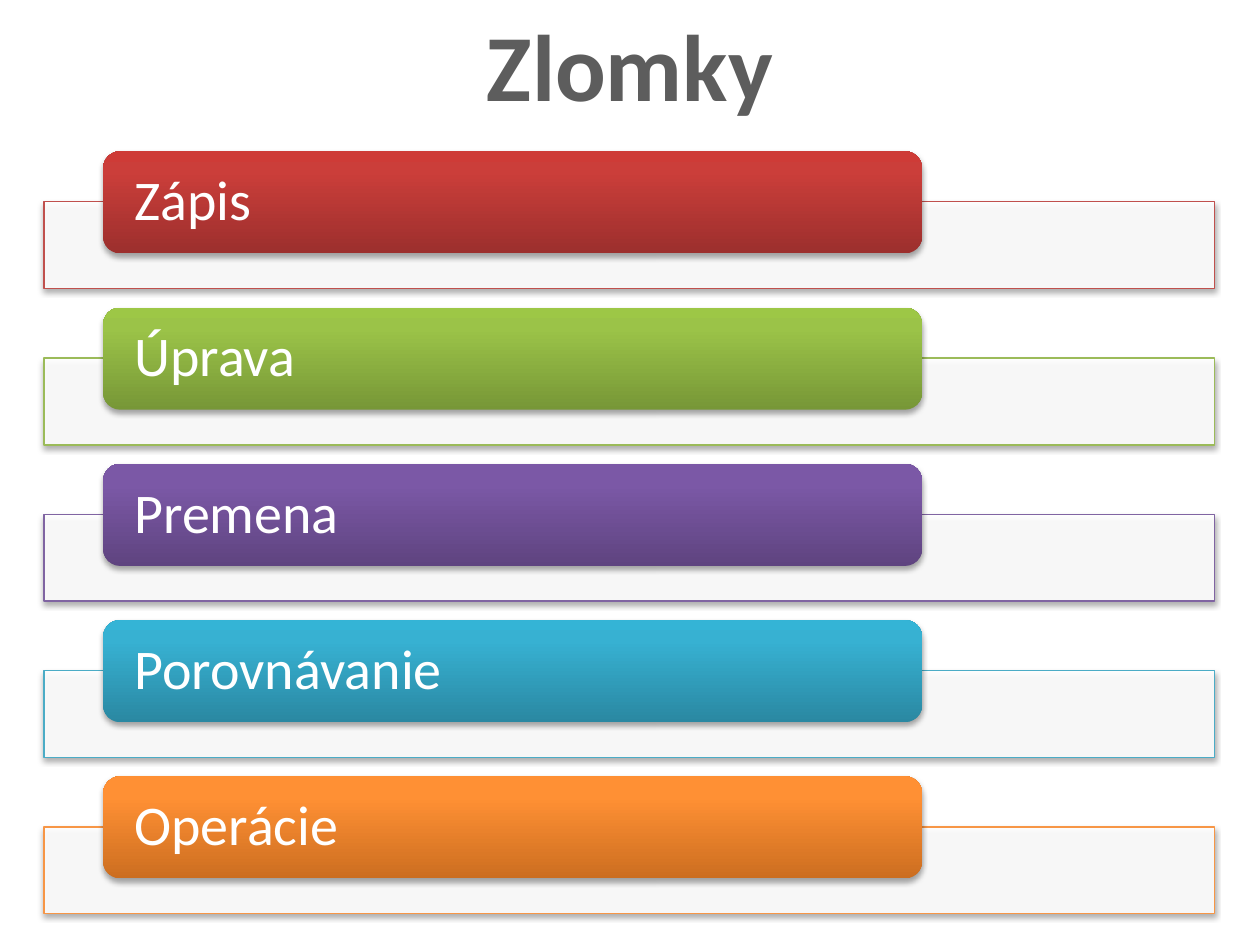
from copy import deepcopy

from lxml import etree
from pptx import Presentation
from pptx.dml.color import RGBColor
from pptx.enum.shapes import MSO_SHAPE
from pptx.enum.text import MSO_ANCHOR, PP_ALIGN
from pptx.oxml import parse_xml
from pptx.oxml.ns import qn
from pptx.util import Cm, Pt

RECTANGLE, ROUNDED = MSO_SHAPE.RECTANGLE, MSO_SHAPE.ROUNDED_RECTANGLE
MIDDLE, LEFT, CENTER = MSO_ANCHOR.MIDDLE, PP_ALIGN.LEFT, PP_ALIGN.CENTER
TITLE_ONLY = 5

TITLE = "Zlomky"
# topic, outline colour, gradient from bottom to top
TOPICS = [
    ("Zápis", "C0504D", ("9C2F2D", "CB3E3A", "CE3B37")),
    ("Úprava", "9BBB59", ("779737", "9BC348", "9DC746")),
    ("Premena", "8064A2", ("5F4480", "7B58A6", "7C57A8")),
    ("Porovnávanie", "4BACC6", ("2A88A2", "37B1D2", "34B4D6")),
    ("Operácie", "F79646", ("CC6E20", "FF9034", "FF9136")),
]
THEME = {
    "font": "Calibri", "title_size": Pt(54), "topic_size": Pt(32),
    "title": "5D5D5D", "white": "FFFFFF", "line": Pt(0.75),
    "stops": (0, 0.8, 1),
}

SLIDE_WIDTH, SLIDE_HEIGHT = Cm(25.4), Cm(19.05)
TITLE_HEIGHT = Cm(2.57)
FIRST_TOP, ROW_STEP = Cm(3.05), Cm(3.15)
LABEL_LEFT, LABEL_WIDTH, LABEL_HEIGHT = Cm(2.08), Cm(16.51), Cm(2.06)
PANEL_LEFT, PANEL_WIDTH, PANEL_HEIGHT = Cm(0.89), Cm(23.6), Cm(1.75)
PANEL_DROP = Cm(1.02)
LABEL_INSET = Cm(0.53)

SHADOW = (
    '<a:outerShdw xmlns:a="http://schemas.openxmlformats.org/drawingml/2006/main" '
    'blurRad="40000" dist="23000" dir="5400000" rotWithShape="0">'
    '<a:srgbClr val="000000"><a:alpha val="35000"/></a:srgbClr></a:outerShdw>'
)


def color(value):
    return RGBColor.from_string(value)


def write(frame, text, size, text_color, alignment, bold=False):
    frame.text = text
    para = frame.paragraphs[0]
    para.alignment = alignment
    font = para.runs[0].font
    font.name, font.size, font.bold = THEME["font"], size, bold
    font.color.rgb = color(text_color)


def add_box(slide, kind, left, top, width, height):
    """Add a shape with a soft shadow below it."""
    box = slide.shapes.add_shape(kind, left, top, width, height)
    box.shadow.inherit = False
    effects = box._element.spPr.find(qn("a:effectLst"))
    effects.append(parse_xml(SHADOW))
    return box


def add_panel(slide, top, line_color):
    panel = add_box(slide, RECTANGLE, PANEL_LEFT, top, PANEL_WIDTH, PANEL_HEIGHT)
    panel.fill.solid()
    panel.fill.fore_color.rgb = color(THEME["white"])
    fill_color = panel._element.spPr.find(qn("a:solidFill"))[0]
    etree.SubElement(fill_color, qn("a:alpha")).set("val", "90000")
    panel.line.color.rgb = color(line_color)
    panel.line.width = THEME["line"]


def add_label(slide, top, text, gradient):
    label = add_box(slide, ROUNDED, LABEL_LEFT, top, LABEL_WIDTH, LABEL_HEIGHT)
    label.fill.gradient()
    label.fill.gradient_angle = 90
    stop_list = label._element.spPr.find(qn("a:gradFill")).find(qn("a:gsLst"))
    stop_list.append(deepcopy(stop_list[0]))
    for stop, position, value in zip(label.fill.gradient_stops, THEME["stops"], gradient):
        stop.position = position
        stop.color.rgb = color(value)
    label.line.fill.background()
    frame = label.text_frame
    frame.word_wrap = True
    frame.vertical_anchor = MIDDLE
    frame.margin_left = frame.margin_right = LABEL_INSET
    frame.margin_top = frame.margin_bottom = 0
    write(frame, text, THEME["topic_size"], THEME["white"], LEFT)
    frame.paragraphs[0].line_spacing = 0.9


def main():
    deck = Presentation()
    deck.slide_width, deck.slide_height = SLIDE_WIDTH, SLIDE_HEIGHT
    slide = deck.slides.add_slide(deck.slide_layouts[TITLE_ONLY])
    title = slide.shapes.title
    title.left, title.top = 0, 0
    title.width, title.height = SLIDE_WIDTH, TITLE_HEIGHT
    title.text_frame.vertical_anchor = MIDDLE
    write(title.text_frame, TITLE, THEME["title_size"], THEME["title"], CENTER, bold=True)

    for row, (topic, line_color, gradient) in enumerate(TOPICS):
        top = FIRST_TOP + row * ROW_STEP
        add_panel(slide, top + PANEL_DROP, line_color)
        add_label(slide, top, topic, gradient)
    deck.save("out.pptx")


if __name__ == "__main__":
    main()
